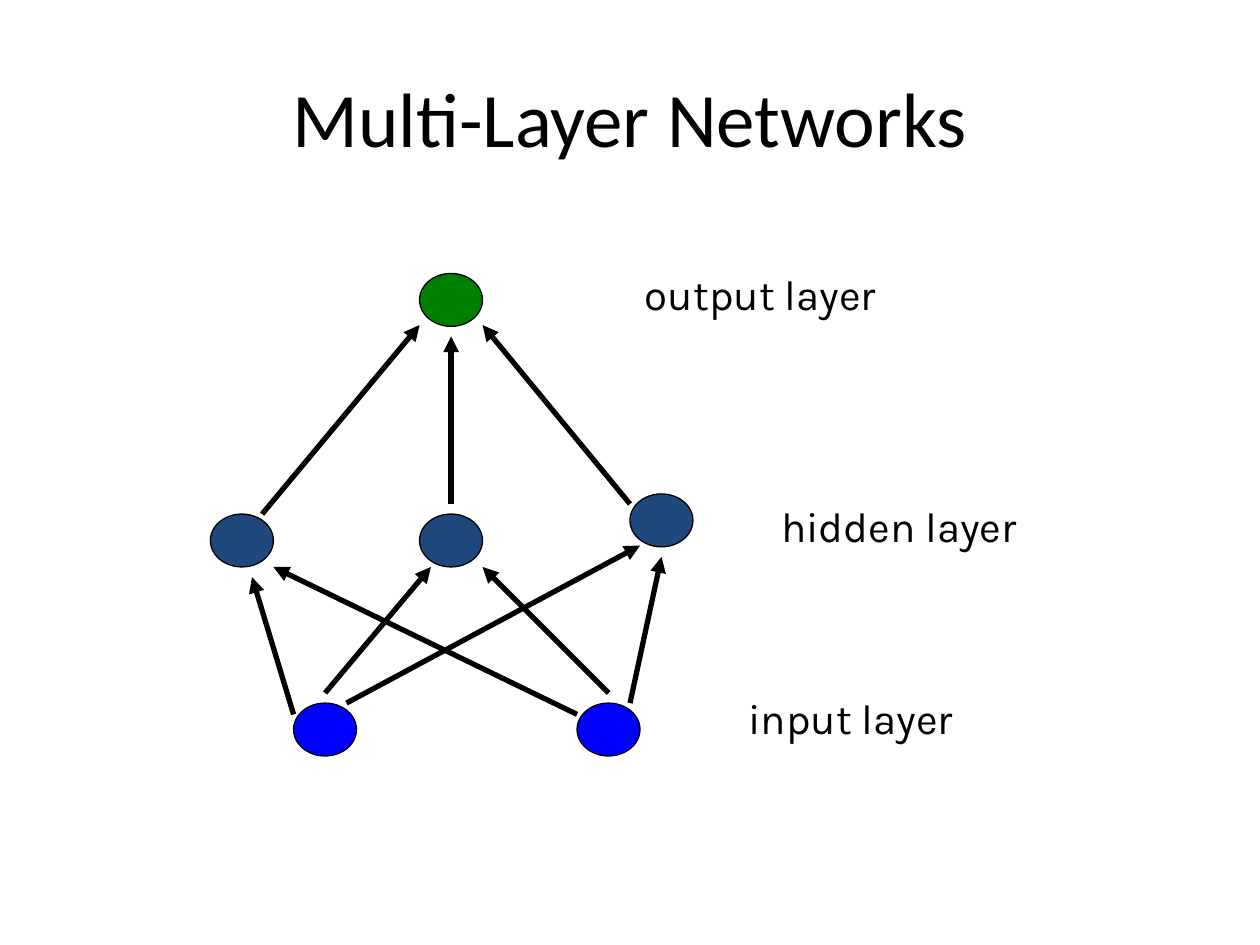
from pptx import Presentation
from pptx.dml.color import RGBColor
from pptx.enum.shapes import MSO_CONNECTOR, MSO_SHAPE
from pptx.enum.text import MSO_ANCHOR, MSO_AUTO_SIZE, PP_ALIGN
from pptx.oxml.ns import qn
from pptx.util import Inches, Pt
from lxml.etree import SubElement

BLACK = RGBColor(0x00, 0x00, 0x00)
INPUT_BLUE = RGBColor(0x00, 0x00, 0xFF)
HIDDEN_BLUE = RGBColor(0x1F, 0x49, 0x7D)
OUTPUT_GREEN = RGBColor(0x00, 0x80, 0x00)
NODE_WIDTH, NODE_HEIGHT = Inches(0.5), Inches(0.42)


def write_text(frame, text, font="Karla", size=24, align=PP_ALIGN.LEFT,
               anchor=MSO_ANCHOR.TOP, wrap=False, fit=MSO_AUTO_SIZE.SHAPE_TO_FIT_TEXT):
    frame.word_wrap = wrap
    frame.auto_size = fit
    frame.vertical_anchor = anchor
    paragraph = frame.paragraphs[0]
    paragraph.alignment = align
    run = paragraph.add_run()
    run.text = text
    run.font.name = font
    run.font.size = Pt(size)
    run.font.color.rgb = BLACK


prs = Presentation()
prs.slide_width, prs.slide_height = Inches(10), Inches(7.5)
slide = prs.slides.add_slide(prs.slide_layouts[5])
shapes = slide.shapes

title = shapes.title
title.left, title.top = Inches(0.5), Inches(0.3)
title.width, title.height = Inches(9), Inches(1.25)
write_text(title.text_frame, "Multi-Layer Networks", font="Calibri", size=44,
           align=PP_ALIGN.CENTER, anchor=MSO_ANCHOR.MIDDLE, wrap=True,
           fit=MSO_AUTO_SIZE.NONE)

# Nodes of each layer: colour, then left and top of every node
layers = [
    (INPUT_BLUE, [(2.33, 5.58), (4.58, 5.58)]),
    (HIDDEN_BLUE, [(1.67, 4.08), (3.33, 4.08), (5, 3.92)]),
    (OUTPUT_GREEN, [(3.33, 2.17)]),
]
for colour, positions in layers:
    for left, top in positions:
        node = shapes.add_shape(MSO_SHAPE.OVAL, Inches(left), Inches(top),
                                NODE_WIDTH, NODE_HEIGHT)
        node.shadow.inherit = False
        node.fill.solid()
        node.fill.fore_color.rgb = colour
        node.line.color.rgb = BLACK
        node.line.width = Pt(0.75)

# Links run upwards and stop just short of the nodes
links = [
    # first input to the hidden nodes
    (2.33, 5.67, 2, 4.58),
    (2.58, 5.5, 3.42, 4.5),
    (2.75, 5.58, 5.08, 4.33),
    # second input to the hidden nodes
    (4.58, 5.67, 2.17, 4.5),
    (4.83, 5.5, 3.83, 4.5),
    (5, 5.58, 5.25, 4.42),
    # hidden nodes to the output
    (2.08, 4.08, 3.33, 2.58),
    (3.58, 4, 3.58, 2.67),
    (5, 4, 3.83, 2.58),
]
for ends in links:
    link = shapes.add_connector(MSO_CONNECTOR.STRAIGHT, *map(Inches, ends))
    link.line.color.rgb = BLACK
    link.line.width = Pt(3)
    SubElement(link.line._get_or_add_ln(), qn("a:tailEnd"), type="triangle")
    SubElement(link._element.spPr, qn("a:effectLst"))

layer_labels = [
    ("output layer", 5.02, 2.08, 2.11),
    ("hidden layer", 6.1, 3.92, 2.15),
    ("input layer", 5.84, 5.45, 1.88),
]
for text, left, top, width in layer_labels:
    label = shapes.add_textbox(Inches(left), Inches(top), Inches(width), Inches(0.5))
    write_text(label.text_frame, text)

prs.save("out.pptx")
